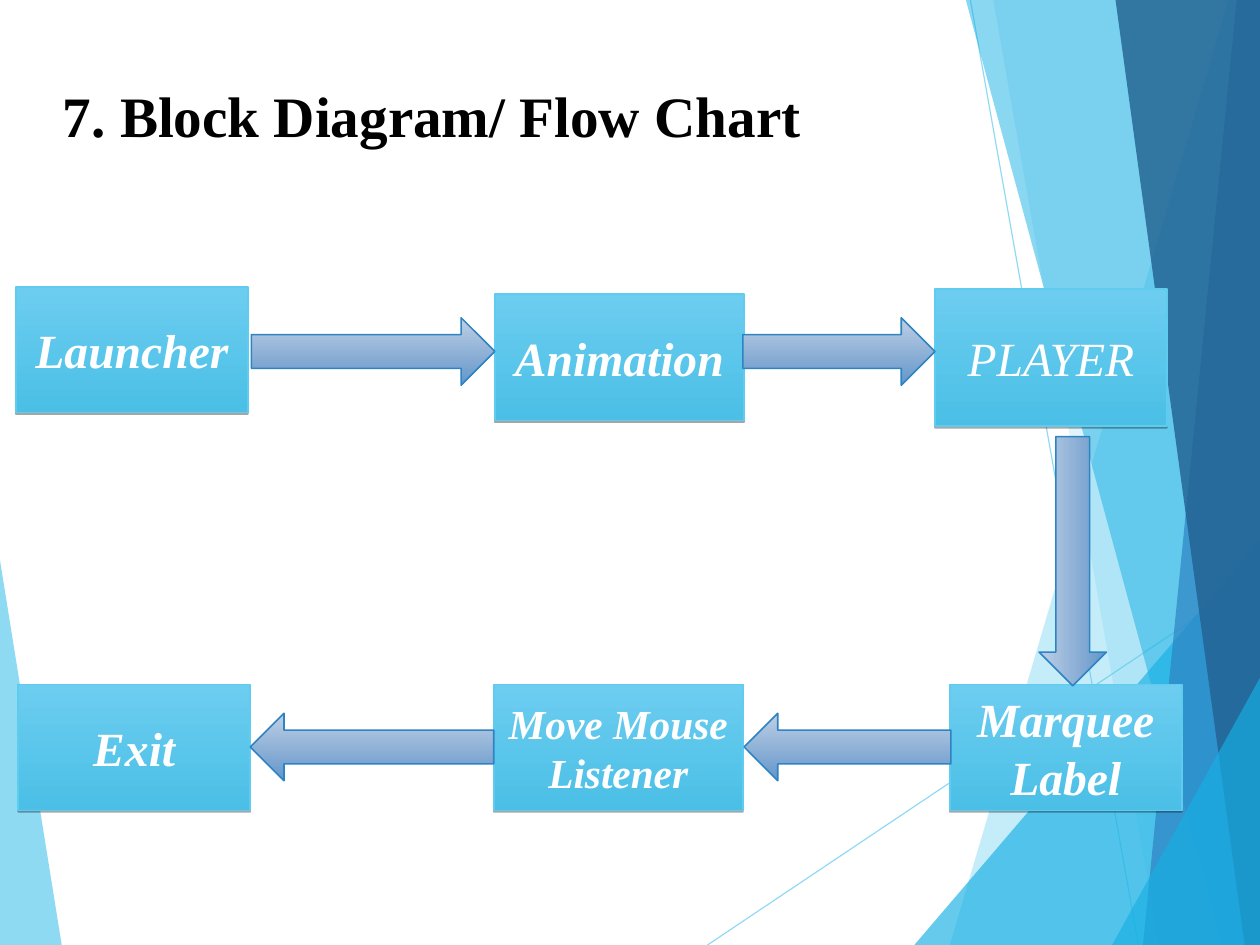
from collections import namedtuple

from lxml.etree import SubElement
from pptx import Presentation
from pptx.dml.color import RGBColor
from pptx.enum.shapes import MSO_CONNECTOR, MSO_SHAPE
from pptx.enum.text import MSO_ANCHOR, PP_ALIGN
from pptx.oxml.ns import qn
from pptx.util import Cm, Inches, Pt

RECTANGLE = MSO_SHAPE.RECTANGLE
RIGHT, LEFT, DOWN = MSO_SHAPE.RIGHT_ARROW, MSO_SHAPE.LEFT_ARROW, MSO_SHAPE.DOWN_ARROW
STRAIGHT = MSO_CONNECTOR.STRAIGHT
MIDDLE = MSO_ANCHOR.MIDDLE
ALIGN_LEFT, ALIGN_CENTER = PP_ALIGN.LEFT, PP_ALIGN.CENTER

Box = namedtuple("Box", "left top width height")
CELL = Inches(1)
PAGE_WIDTH, PAGE_HEIGHT = Cm(28), Cm(21)
PAGE = Box(0, 0, PAGE_WIDTH / CELL, PAGE_HEIGHT / CELL)
FONT = "Times New Roman"
COLORS = {
    "sky": "5FCBEF", "cyan": "17B0E4", "blue": "2E83C3", "navy": "236292",
    "block_top": "6CCDF0", "block_bottom": "4BBFE6",
    "arrow_light": "BFCFE5", "arrow_dark": "6396CA",
    "black": "000000", "white": "FFFFFF",
}


def color(name):
    """Return the named colour."""
    return RGBColor.from_string(COLORS[name])


def place(box, left, top, width, height):
    """Turn grid cells inside a box into slide lengths."""
    cells = (box.left + left, box.top + top, width, height)
    return [round(cell * CELL) for cell in cells]


def locate(box, point):
    """Turn a grid point inside a box into a slide position."""
    return round((box.left + point[0]) * CELL), round((box.top + point[1]) * CELL)


def set_alpha(element, percent):
    """Make the first colour of an element partly transparent."""
    tint = next(element.iter(qn("a:srgbClr")))
    SubElement(tint, qn("a:alpha"), val=str(percent * 1000))


def write(shape, text, size=30, ink="white", bold=True, italic=True,
          align=ALIGN_CENTER, spacing=1.0, insets=(0.11, 0.06, 0.11, 0.06)):
    """Put one formatted paragraph into a shape."""
    frame = shape.text_frame
    frame.word_wrap = True
    frame.vertical_anchor = MIDDLE
    (frame.margin_left, frame.margin_top,
     frame.margin_right, frame.margin_bottom) = map(Inches, insets)
    para = frame.paragraphs[0]
    para.alignment = align
    para.line_spacing = spacing
    span = para.add_run()
    span.text = text
    span.font.name = FONT
    span.font.size = Pt(size)
    span.font.bold = bold
    span.font.italic = italic
    span.font.color.rgb = color(ink)


def add_gradient_shape(slide, kind, area, stops, outline, angle=270):
    """Add a preset shape with a two-colour gradient and a thin outline."""
    shape = slide.shapes.add_shape(kind, *area)
    shape.shadow.inherit = False
    shape.fill.gradient()
    shape.fill.gradient_angle = angle
    for stop, name in zip(shape.fill.gradient_stops, stops):
        stop.color.rgb = color(name)
    shape.line.color.rgb = color(outline)
    shape.line.width = Pt(1)
    return shape


def add_block(slide, area, text, **style):
    """Add a labelled block with a hard shadow below it."""
    block = add_gradient_shape(slide, RECTANGLE, area, ("block_top", "block_bottom"), "sky")
    effects = block._element.spPr.find(qn("a:effectLst"))
    shadow = SubElement(effects, qn("a:outerShdw"), blurRad="0", dist=str(Pt(1)),
                        dir="5400000", rotWithShape="0")
    SubElement(shadow, qn("a:srgbClr"), val=COLORS["black"])
    set_alpha(shadow, 35)
    write(block, text, **style)


def add_facet(slide, box, points, name, percent):
    """Add a translucent polygon."""
    corners = [locate(box, point) for point in points]
    builder = slide.shapes.build_freeform(*corners[0])
    builder.add_line_segments(corners[1:])
    facet = builder.convert_to_shape()
    facet.shadow.inherit = False
    facet.fill.solid()
    facet.fill.fore_color.rgb = color(name)
    facet.line.fill.background()
    set_alpha(facet._element.spPr, percent)


def draw_backdrop(slide, box):
    """Draw the slanted facets and hairlines along the page edges."""
    right, bottom = box.width, box.height
    add_facet(slide, box, [(0, 4.9), (0.54, bottom), (0, bottom)], "sky", 70)
    for start, end in (((6.19, bottom), (right, 5.03)), ((8.49, 0), (9.96, bottom))):
        hairline = slide.shapes.add_connector(STRAIGHT, *locate(box, start), *locate(box, end))
        hairline.line.color.rgb = color("sky")
        hairline.line.width = Pt(0.75)
        set_alpha(hairline._element.spPr, 70)
        SubElement(hairline._element.spPr, qn("a:effectLst"))
    facets = [
        (10.75, 0, 8.31, "sky", 36),
        (8.69, 0, 10.14, "sky", 20),
        (right, 4.73, 8, "cyan", 66),
        (8.45, 0, 10.69, "cyan", 50),
        (10.82, 0, 10, "blue", 70),
        (9.76, 0, 10.89, "navy", 82),
        (right, 5.93, 9.73, "cyan", 66),
    ]
    for upper, top, lower, name, percent in facets:
        points = [(upper, top), (lower, bottom), (right, bottom)]
        if upper < right:
            points.append((right, top))
        add_facet(slide, box, points, name, percent)


def draw_title(slide, box):
    """Write the slide heading."""
    heading = slide.shapes.add_textbox(*place(box, 0, 0, box.width, box.height))
    write(heading, "7. Block Diagram/ Flow Chart", size=36, ink="black", italic=False,
          align=ALIGN_LEFT, spacing=0.93, insets=(0, 0.03, 0, 0))


def draw_flow(slide, box):
    """Draw the six blocks and the arrows that link them."""
    narrow, wide, height, lower = 2.03, 2.18, 1.1, 3.48
    blocks = [
        ("Launcher", (0, 0, narrow, height), {"insets": (0.1, 0.05, 0.1, 0.05)}),
        ("Animation", (4.19, 0.06, wide, 1.11), {}),
        ("PLAYER", (8.04, 0.02, narrow, 1.2), {"bold": False}),
        ("Marquee Label", (8.17, lower, narrow, height), {}),
        ("Move Mouse Listener", (4.18, lower, wide, height), {"size": 26}),
        ("Exit", (0.02, lower, narrow, height), {}),
    ]
    for text, cells, style in blocks:
        add_block(slide, place(box, *cells), text, **style)
    thick, upper_row, lower_row = 0.59, 0.27, 3.73
    arrows = [
        (DOWN, (8.95, 1.31, thick, 2.18), 0),
        (RIGHT, (2.06, upper_row, 2.13, thick), 270),
        (RIGHT, (6.36, upper_row, 1.68, thick), 270),
        (LEFT, (6.37, lower_row, 1.81, thick), 270),
        (LEFT, (2.05, lower_row, 2.13, thick), 270),
    ]
    for kind, cells, angle in arrows:
        add_gradient_shape(slide, kind, place(box, *cells),
                           ("arrow_light", "arrow_dark"), "blue", angle)


def main():
    """Build and save the deck."""
    deck = Presentation()
    deck.slide_width, deck.slide_height = PAGE_WIDTH, PAGE_HEIGHT
    slide = deck.slides.add_slide(deck.slide_layouts[6])
    draw_backdrop(slide, PAGE)
    draw_title(slide, Box(0.55, 0.33, 9.92, 1.38))
    draw_flow(slide, Box(0.14, 2.51, 10.2, 4.58))
    deck.save("out.pptx")


if __name__ == "__main__":
    main()
